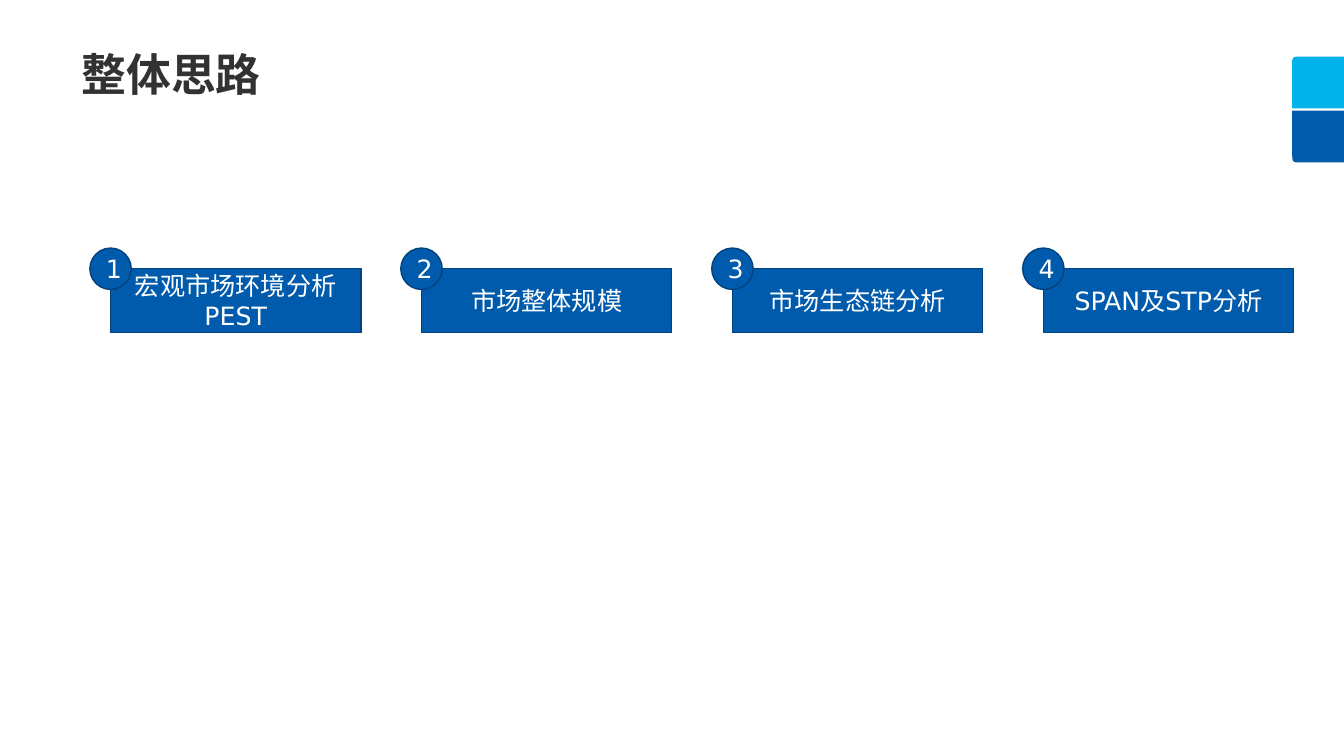
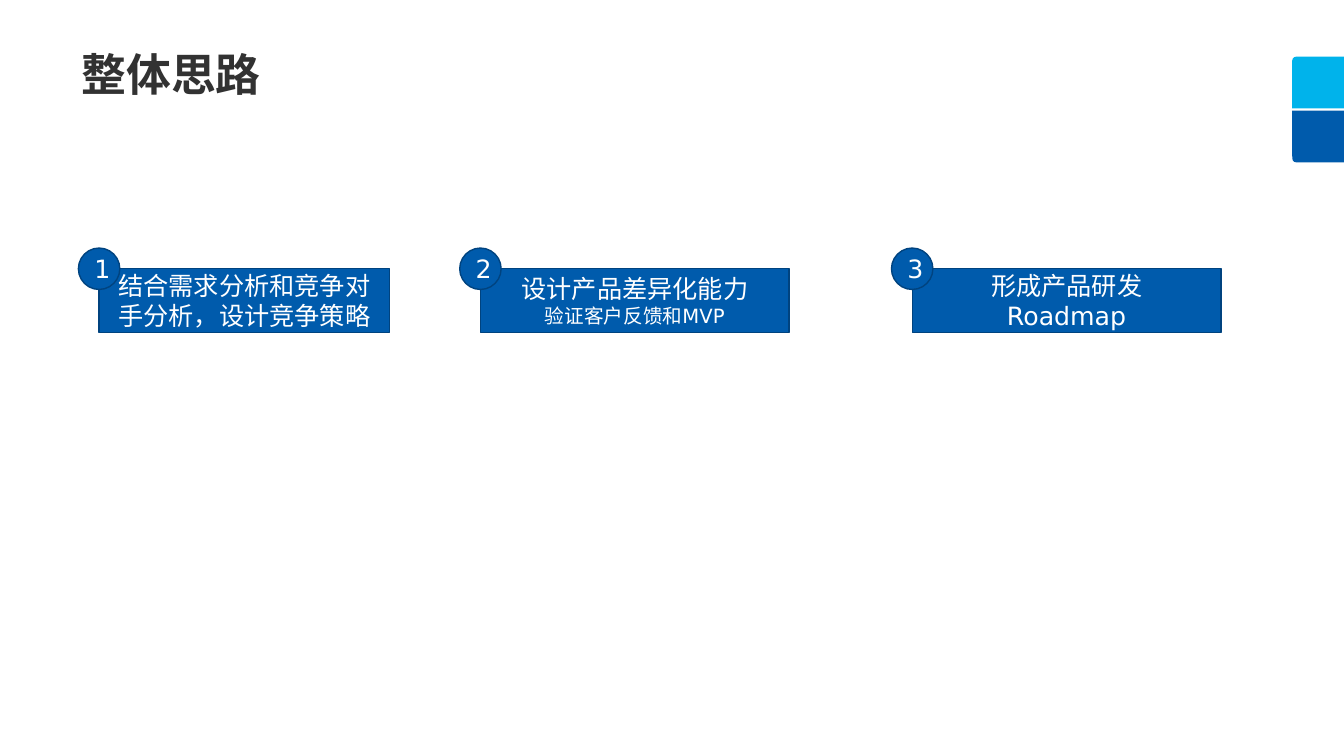
from pptx import Presentation
from pptx import util as u
from pptx.dml.color import RGBColor
from pptx.enum import shapes, text

# Shared style
BLUE = RGBColor(0x00, 0x5B, 0xAC)
DARK_BLUE = RGBColor(0x00, 0x43, 0x7F)
CYAN = RGBColor(0x00, 0xB3, 0xEB)
INK = RGBColor(0x32, 0x32, 0x32)
WHITE = RGBColor(0xFF, 0xFF, 0xFF)
FONT = "DejaVu Sans"
SLIDE_W, SLIDE_H = 960, 540
TAB = 37
CARD_TOP, CARD_H = 192, 45.4
BADGE = 29.6
SHAPE = shapes.MSO_SHAPE


def add_text(p, content, size=18, color=WHITE, bold=False, align=text.PP_ALIGN.CENTER):
    """Put one formatted run in a paragraph."""
    p.alignment = align
    r = p.add_run()
    r.text = content
    f = r.font
    f.name, f.size, f.bold = FONT, u.Pt(size), bold
    f.color.rgb = color


class Deck:
    def __init__(self):
        self.prs = Presentation()
        self.prs.slide_width, self.prs.slide_height = u.Pt(SLIDE_W), u.Pt(SLIDE_H)
        self.s = None

    def slide(self, title):
        self.s = self.prs.slides.add_slide(self.prs.slide_layouts[5])
        self.tabs()
        self.title(title)

    def shape(self, kind, x, y, w, h, fill=BLUE, line=None):
        sp = self.s.shapes.add_shape(kind, u.Pt(x), u.Pt(y), u.Pt(w), u.Pt(h))
        sp.shadow.inherit = False
        sp.fill.solid()
        sp.fill.fore_color.rgb = fill
        if line is None:
            sp.line.fill.background()
        else:
            sp.line.color.rgb = line
            sp.line.width = u.Pt(1)
        return sp

    def tabs(self):
        # Turning each square brings its round corner to the outer left
        for y, fill, turn in ((40.4, CYAN, 270), (79, BLUE, 180)):
            sp = self.shape(SHAPE.ROUND_1_RECTANGLE, SLIDE_W - TAB, y, TAB, TAB, fill)
            sp.adjustments[0] = 0.08
            sp.rotation = turn

    def title(self, content):
        sp = self.s.shapes.title
        sp.left, sp.top, sp.width, sp.height = u.Pt(51), u.Pt(34), u.Pt(804), u.Pt(45)
        tf = sp.text_frame
        tf.auto_size = text.MSO_AUTO_SIZE.NONE
        tf.vertical_anchor = text.MSO_ANCHOR.TOP
        p = tf.paragraphs[0]
        p.line_spacing = 0.9
        add_text(p, content, size=32, color=INK, bold=True, align=text.PP_ALIGN.LEFT)

    def box(self, kind, x, y, w, h, lines):
        """Outlined shape; each line is (text, size)."""
        tf = self.shape(kind, x, y, w, h, line=DARK_BLUE).text_frame
        tf.vertical_anchor = text.MSO_ANCHOR.MIDDLE
        for i, (content, size) in enumerate(lines):
            p = tf.add_paragraph() if i else tf.paragraphs[0]
            add_text(p, content, size=size)

    def step(self, number, x, w, lines):
        """Card with a number badge centred on its top left corner."""
        self.box(SHAPE.RECTANGLE, x, CARD_TOP, w, CARD_H, lines)
        self.box(SHAPE.OVAL, x - BADGE / 2, CARD_TOP - BADGE / 2, BADGE, BADGE,
                 [(str(number), 18)])


def main():
    deck = Deck()

    # Market analysis: four equal steps
    deck.slide("整体思路")
    analysis = [
        [("宏观市场环境分析", 18), ("PEST", 18)],
        [("市场整体规模", 18)],
        [("市场生态链分析", 18)],
        [("SPAN及STP分析", 18)],
    ]
    for i, lines in enumerate(analysis):
        deck.step(i + 1, 79 + 222.1 * i, 178.8, lines)

    # From strategy to roadmap
    deck.slide("整体思路")
    strategy = [
        (70.8, 207.4, [("结合需求分析和竞争对手分析，设计竞争策略", 18)]),
        (343.2, 220.5, [("设计产品差异化能力", 18), ("验证客户反馈和MVP", 14)]),
        (651.6, 220.5, [("形成产品研发", 18), ("Roadmap", 18)]),
    ]
    for number, (x, w, lines) in enumerate(strategy, 1):
        deck.step(number, x, w, lines)

    deck.prs.save("out.pptx")


if __name__ == "__main__":
    main()
